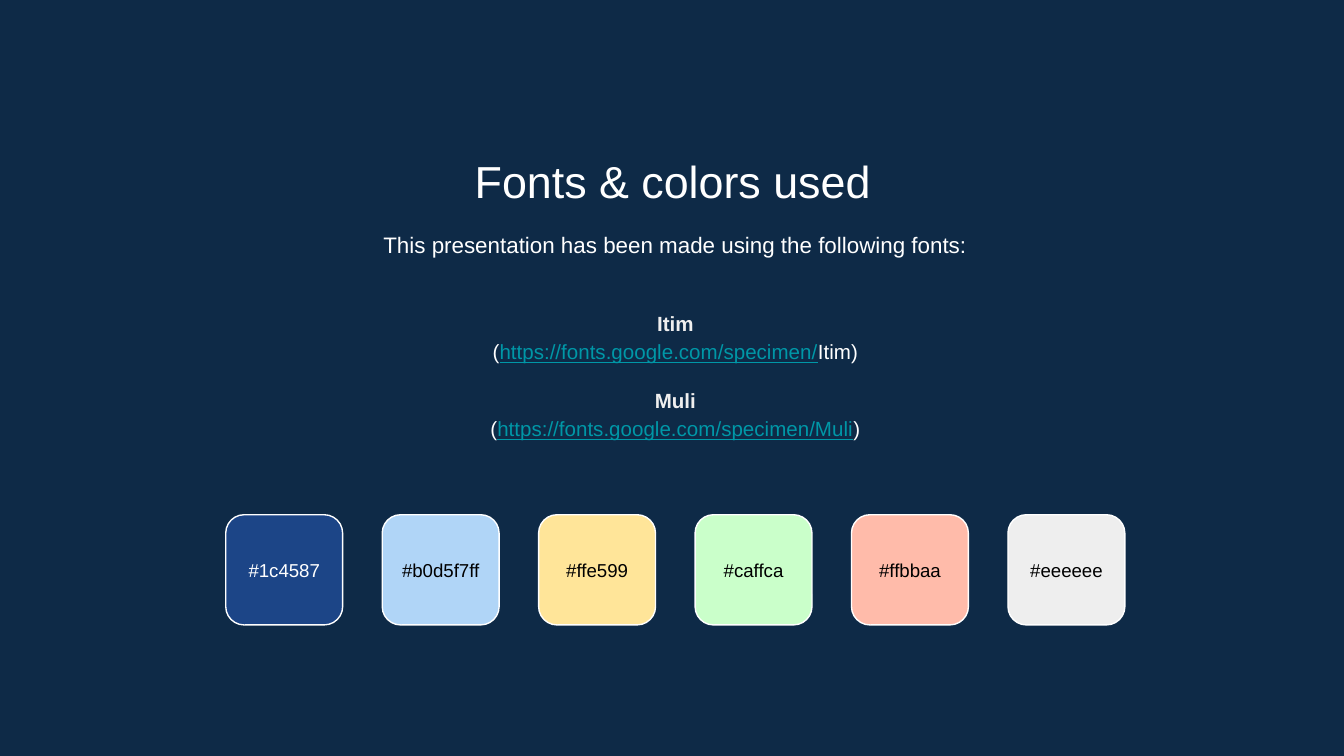
from pptx import Presentation
from pptx.dml.color import RGBColor
from pptx.enum.shapes import MSO_SHAPE
from pptx.enum.text import MSO_ANCHOR, MSO_AUTO_SIZE, PP_ALIGN
from pptx.util import Inches, Pt

WHITE, BLACK, NAVY = "FFFFFF", "000000", "0E2A47"
PALE, TEAL = "EFEFEF", "0097A7"
SITE = "https://fonts.google.com/specimen/"


def color(code):
    return RGBColor.from_string(code)


class Page:
    font = "Arial"

    def __init__(self, deck):
        self.slide = deck.slides.add_slide(deck.slide_layouts[5])
        fill = self.slide.background.fill
        fill.solid()
        fill.fore_color.rgb = color(NAVY)

    def frame(self, shape, anchor):
        frame = shape.text_frame
        frame.word_wrap = True
        frame.auto_size = MSO_AUTO_SIZE.NONE
        frame.vertical_anchor = anchor
        frame.margin_left = frame.margin_right = Inches(0.1)
        frame.margin_top = frame.margin_bottom = Inches(0.1)
        return frame

    def style(self, para, size, ink, bold=False):
        para.alignment = PP_ALIGN.CENTER
        font = para.font
        font.name, font.size, font.bold = self.font, Pt(size), bold
        font.color.rgb = color(ink)

    def title(self, text, left, top, width, height):
        shape = self.slide.shapes.title
        shape.left, shape.top = Inches(left), Inches(top)
        shape.width, shape.height = Inches(width), Inches(height)
        self.text(self.frame(shape, MSO_ANCHOR.TOP), text, 24, WHITE)

    def box(self, left, top, width, height, anchor=MSO_ANCHOR.MIDDLE):
        shape = self.slide.shapes.add_textbox(
            Inches(left), Inches(top), Inches(width), Inches(height))
        return self.frame(shape, anchor)

    def text(self, frame, text, size, ink, spacing=1.0):
        para = frame.paragraphs[0]
        para.text = text
        para.line_spacing = spacing
        self.style(para, size, ink)

    def entry(self, frame, name, link, tail):
        """Add a font name and, below it, its link in brackets."""
        first = not frame.text
        head = frame.paragraphs[0] if first else frame.add_paragraph()
        if not first:
            head.space_before = Pt(11)
        head.text = name
        self.style(head, 11, PALE, bold=True)
        line = frame.add_paragraph()
        self.style(line, 11, WHITE)
        line.add_run().text = "("
        run = line.add_run()
        run.text = link
        run.font.underline = True
        run.font.color.rgb = color(TEAL)
        line.add_run().text = tail
        head.line_spacing = line.line_spacing = 1.15

    def swatch(self, left, label, ink):
        shape = self.slide.shapes.add_shape(
            MSO_SHAPE.ROUNDED_RECTANGLE,
            Inches(left), Inches(3.83), Inches(0.87), Inches(0.82))
        shape.shadow.inherit = False
        shape.fill.solid()
        shape.fill.fore_color.rgb = color(label[1:7].upper())
        shape.line.color.rgb = color(WHITE)
        shape.line.width = Pt(0.75)
        self.text(self.box(left, 4, 0.87, 0.48), label, 10, ink)


def main():
    deck = Presentation()
    deck.slide_width = Inches(10)
    deck.slide_height = Inches(10 * 9 / 16)
    page = Page(deck)
    page.title("Fonts & colors used", 1.15, 1.04, 7.71, 0.53)
    intro = page.box(1.17, 1.59, 7.71, 0.48, MSO_ANCHOR.TOP)
    page.text(intro,
              "This presentation has been made using the following fonts:",
              12, WHITE, 1.15)

    fonts = page.box(1.17, 2.1, 7.71, 1.37)
    page.entry(fonts, "Itim", SITE, "Itim)")
    page.entry(fonts, "Muli", SITE + "Muli", ")")

    labels = ["#1c4587", "#b0d5f7ff", "#ffe599",
              "#caffca", "#ffbbaa", "#eeeeee"]
    first, last = 1.68, 7.5
    step = (last - first) / (len(labels) - 1)
    for i, label in enumerate(labels):
        page.swatch(first + i * step, label, BLACK if i else WHITE)
    deck.save("out.pptx")


if __name__ == "__main__":
    main()
